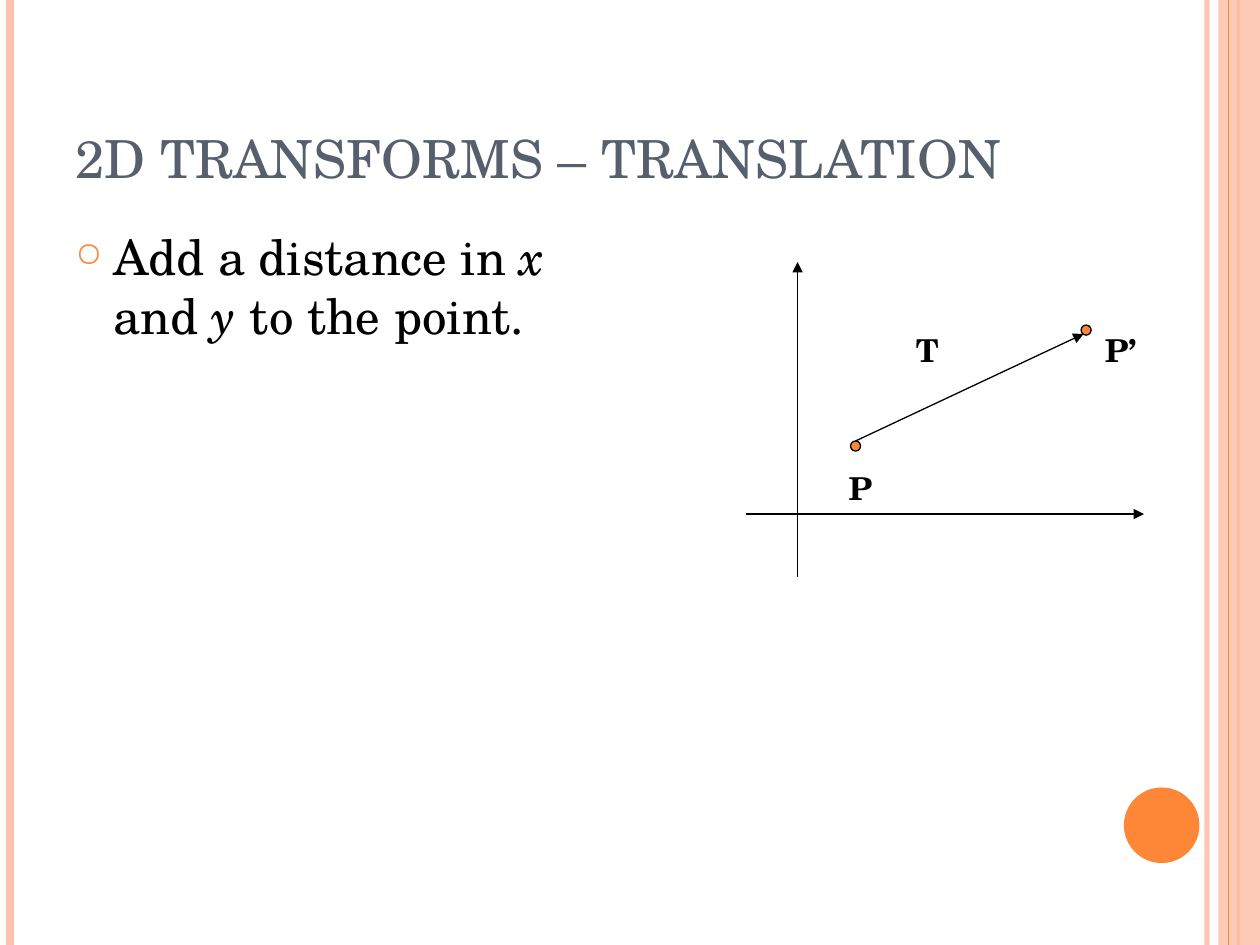
from lxml import etree
from pptx import Presentation
from pptx.dml.color import RGBColor
from pptx.enum.shapes import MSO_CONNECTOR as Link, MSO_SHAPE as Form
from pptx.enum.text import MSO_ANCHOR as Anchor, MSO_AUTO_SIZE as Fit, PP_ALIGN as Align
from pptx.oxml.ns import qn
from pptx.util import Inches, Pt

FONT = "TeX Gyre Schola"
ORANGE = RGBColor(0xFE, 0x86, 0x37)
PEACH = RGBColor(0xFE, 0xC3, 0xAE)
SLATE = RGBColor(0x57, 0x5F, 0x6D)
BLACK = RGBColor(0, 0, 0)


def fade(props, alpha):
    color = props.find(f"{qn('a:solidFill')}/{qn('a:srgbClr')}")
    etree.SubElement(color, qn("a:alpha"), val=str(alpha * 1000))


def add_line(slide, start, end, color=BLACK, width=0.75, alpha=100, arrow=False):
    ends = [Inches(n) for n in (*start, *end)]
    line = slide.shapes.add_connector(Link.STRAIGHT, *ends)
    line.line.color.rgb = color
    line.line.width = Pt(width)
    props = line._element.spPr
    stroke = props.find(qn("a:ln"))
    if alpha < 100:
        fade(stroke, alpha)
    if arrow:
        etree.SubElement(stroke, qn("a:tailEnd"), type="triangle")
    etree.SubElement(props, qn("a:effectLst"))


def add_form(slide, kind, box, color, edge=None, alpha=100):
    form = slide.shapes.add_shape(kind, *map(Inches, box))
    form.shadow.inherit = False
    form.fill.solid()
    form.fill.fore_color.rgb = color
    if alpha < 100:
        fade(form._element.spPr, alpha)
    if edge is None:
        form.line.fill.background()
    else:
        form.line.color.rgb = edge
        form.line.width = Pt(0.75)


def style(run, size, color=BLACK, bold=False, italic=False):
    font = run.font
    font.name, font.size, font.color.rgb = FONT, Pt(size), color
    font.bold, font.italic = bold, italic


def add_box(slide, box):
    frame = slide.shapes.add_textbox(*map(Inches, box)).text_frame
    frame.word_wrap = True
    return frame


def add_label(slide, text, left, top, align=Align.LEFT):
    para = add_box(slide, (left, top, 0.5, 0.4)).paragraphs[0]
    para.text = text
    para.alignment = align
    style(para.runs[0], 18, bold=True)


def set_title(slide, text):
    title = slide.shapes.title
    title.left, title.top, title.width, title.height = map(Inches, (0.5, 0.3, 9, 1.25))
    frame = title.text_frame
    frame.text = text
    frame.auto_size = Fit.NONE
    frame.vertical_anchor = Anchor.BOTTOM
    para = frame.paragraphs[0]
    para.alignment = Align.LEFT
    style(para.runs[0], 30, SLATE)


def add_bullet(para):
    para.space_before = Pt(6)
    props = para._p.get_or_add_pPr()
    props.set("marL", str(Inches(0.3)))
    props.set("indent", str(-Inches(0.3)))
    color = etree.SubElement(props, qn("a:buClr"))
    etree.SubElement(color, qn("a:srgbClr"), val=str(ORANGE))
    etree.SubElement(props, qn("a:buSzPct"), val="70000")
    etree.SubElement(props, qn("a:buChar"), char="○")


def add_body(slide):
    para = add_box(slide, (0.5, 1.75, 4.42, 4.95)).paragraphs[0]
    add_bullet(para)
    for part in ("Add a distance in ", "x", " and ", "y", " to the point."):
        run = para.add_run()
        run.text = part
        style(run, 28, italic=part in ("x", "y"))


def add_rule(slide, x, color, width, alpha=100):
    add_line(slide, (x, 0), (x, 7.5), color, width, alpha)


def add_frame(slide):
    add_rule(slide, 9.58, PEACH, 3, 93)
    add_rule(slide, 0.08, PEACH, 4.5)
    add_rule(slide, 9.83, ORANGE, 1.5)
    add_form(slide, Form.RECTANGLE, (9.67, 0, 0.33, 7.5), PEACH, alpha=87)
    add_rule(slide, 9.75, ORANGE, 0.75)
    add_form(slide, Form.OVAL, (8.92, 6.25, 0.6, 0.6), ORANGE)


def add_graph(slide):
    add_line(slide, (6.33, 4.58), (6.33, 2.08), arrow=True)
    add_line(slide, (5.92, 4.08), (9.08, 4.08), arrow=True)
    for left, top in ((6.75, 3.5), (8.58, 2.58)):
        add_form(slide, Form.OVAL, (left, top, 0.08, 0.08), ORANGE, BLACK)
    add_line(slide, (6.79, 3.5), (8.6, 2.65), arrow=True)
    add_label(slide, "P", 6.58, 3.67, Align.CENTER)
    add_label(slide, "P’", 8.67, 2.58)
    add_label(slide, "T", 7.17, 2.58)


def main():
    deck = Presentation()
    deck.slide_width, deck.slide_height = Inches(10), Inches(7.5)
    slide = deck.slides.add_slide(deck.slide_layouts[5])
    add_frame(slide)
    set_title(slide, "2D TRANSFORMS – TRANSLATION")
    add_body(slide)
    add_graph(slide)
    deck.save("out.pptx")


if __name__ == "__main__":
    main()
